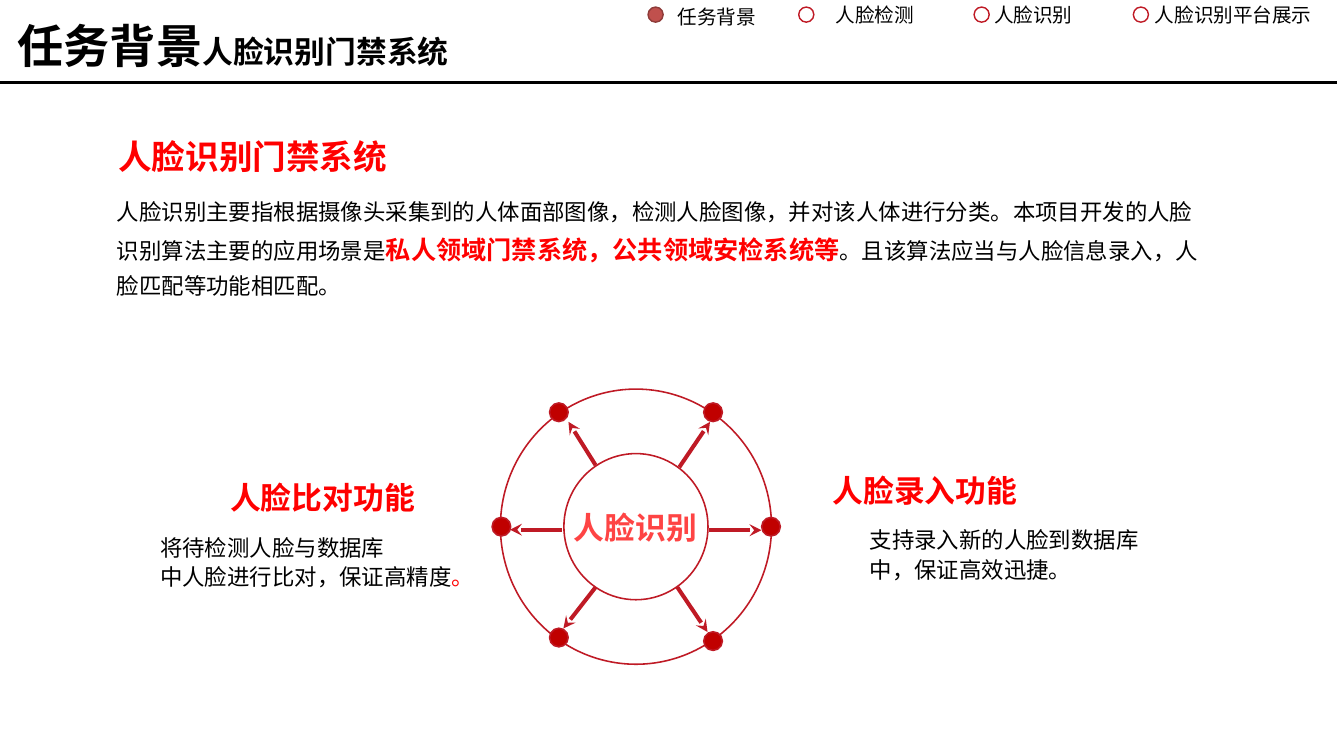
from pptx import Presentation
from pptx.dml.color import RGBColor
from pptx.enum.shapes import MSO_CONNECTOR, MSO_SHAPE
from pptx.oxml.ns import qn
from pptx.util import Inches, Pt
from lxml.etree import SubElement

SLIDE_W, SLIDE_H = 26.67, 15
CJK, LATIN = "Noto Sans CJK SC", "Calibri"
BLACK = RGBColor(0, 0, 0)
WHITE = RGBColor(255, 255, 255)
RED = RGBColor(255, 0, 0)
CRIMSON = RGBColor(0xBF, 0x1A, 0x25)
NODE_RED = RGBColor(0xC0, 0, 0)
ACTIVE_FILL = RGBColor(0xC0, 0x50, 0x4D)
ACTIVE_LINE = RGBColor(0x8E, 0x3B, 0x39)
HUB_TEXT = RGBColor(0xFE, 0x44, 0x44)

# Navigation: label, marker left, label left, label top, label width
NAVIGATION = [
    ("任务背景", 12.86, 13.35, 0.05, 1.89),
    ("人脸检测", 15.85, 16.48, 0, 3.71),
    ("人脸识别", 19.33, 19.63, 0, 2.24),
    ("人脸识别平台展示", 22.49, 22.82, 0, 3.85),
]
ACTIVE = "任务背景"

# Text runs: text, size, colour, bold, font
TITLE = [("任务背景", 66, BLACK, True, CJK),
         ("人脸识别门禁系统", 44, BLACK, True, LATIN)]
INTRO_HEADING = [("人脸识别门禁系统", 48, RED, True, CJK)]
INTRO = [
    ("人脸识别主要指根据摄像头采集到的人体面部图像，检测人脸图像，并对该人体进行分类。"
     "本项目开发的人脸识别算法主要的应用场景是", 32, BLACK, False, CJK),
    ("私人领域门禁系统，公共领域安检系统等", 36, RED, True, CJK),
    ("。且该算法应当与人脸信息录入，人脸匹配等功能相匹配。", 32, BLACK, False, CJK),
]
HUB_LABEL = [("人脸识别", 44, HUB_TEXT, True, LATIN)]

# Functions: heading, heading box, detail lines, detail box
FUNCTIONS = [
    ("人脸比对功能", (4.47, 9.44, 4.33, 0.84),
     [[("将待检测人脸与数据库", 32, BLACK, False, CJK)],
      [("中人脸进行比对，保证高精度", 32, BLACK, False, CJK),
       ("。", 32, RED, False, CJK)]], (3.08, 10.78, 6.35, 0.98)),
    ("人脸录入功能", (16.42, 9.31, 4.61, 1),
     [[("支持录入新的人脸到数据库", 32, BLACK, False, CJK)],
      [("中，保证高效迅捷。", 32, BLACK, False, CJK)]], (17.16, 10.64, 5.78, 1.02)),
]

# Wheel: centre, then each spoke as node offset, arrow start and arrow end
CENTRE_X, CENTRE_Y = 12.62, 10.45
RING, HUB, NODE = (5.38, 5.46), (2.86, 2.9), (0.37, 0.37)
SPOKES = [
    ((1.53, -2.27), (0.86, -1.18), (1.47, -2.08)),
    ((2.68, 0), (1.45, 0.07), (2.49, 0.07)),
    ((1.53, 2.27), (0.82, 1.2), (1.42, 2.09)),
    ((-1.53, 2.2), (-0.8, 1.2), (-1.44, 2.02)),
    ((-2.67, 0), (-1.47, 0.06), (-2.5, 0.06)),
    ((-1.53, -2.27), (-0.8, -1.22), (-1.34, -2.08)),
]

prs = Presentation()
prs.slide_width, prs.slide_height = Inches(SLIDE_W), Inches(SLIDE_H)
slide = prs.slides.add_slide(prs.slide_layouts[6])


def add_text(box, paragraphs, wrap=True, spacing=None, gap=0):
    frame = slide.shapes.add_textbox(*map(Inches, box)).text_frame
    frame.word_wrap = wrap
    for i, runs in enumerate(paragraphs):
        paragraph = frame.add_paragraph() if i else frame.paragraphs[0]
        paragraph.line_spacing = spacing
        if i:
            paragraph.space_before = Pt(gap)
        for text, size, colour, bold, font in runs:
            run = paragraph.add_run()
            run.text = text
            run.font.size, run.font.bold, run.font.name = Pt(size), bold, font
            run.font.color.rgb = colour


def add_circle(centre_x, centre_y, size, fill, line, weight):
    width, height = size
    circle = slide.shapes.add_shape(
        MSO_SHAPE.OVAL, Inches(centre_x - width / 2), Inches(centre_y - height / 2),
        Inches(width), Inches(height))
    circle.shadow.inherit = False
    if fill is None:
        circle.fill.background()
    else:
        circle.fill.solid()
        circle.fill.fore_color.rgb = fill
    circle.line.color.rgb, circle.line.width = line, Pt(weight)


def add_line(start, end, colour, weight, arrow=False):
    line = slide.shapes.add_connector(
        MSO_CONNECTOR.STRAIGHT, *map(Inches, (*start, *end)))
    line.line.color.rgb, line.line.width = colour, Pt(weight)
    if arrow:
        SubElement(line.line._get_or_add_ln(), qn("a:tailEnd"), type="stealth")
    SubElement(line._element.spPr, qn("a:effectLst"))


def from_centre(offset):
    return CENTRE_X + offset[0], CENTRE_Y + offset[1]


# Header
for label, marker_left, left, top, width in NAVIGATION:
    fill, line = (ACTIVE_FILL, ACTIVE_LINE) if label == ACTIVE else (None, CRIMSON)
    add_circle(marker_left + 0.15, 0.29, (0.3, 0.3), fill, line, 2)
    add_text((left, top, width, 0.57), [[(label, 28, BLACK, False, CJK)]])
add_line((0, 1.64), (26.54, 1.64), BLACK, 4.5)
add_text((0.25, 0.3, 10.58, 1.21), [TITLE])

# Introduction
add_text((2.25, 2.65, 5.53, 0.91), [INTRO_HEADING], wrap=False)
add_text((2.22, 3.72, 21.86, 2.29), [INTRO], spacing=1.3)

# Wheel
add_circle(CENTRE_X, CENTRE_Y, RING, WHITE, CRIMSON, 2.25)
for node, start, end in SPOKES:
    add_circle(*from_centre(node), NODE, NODE_RED, CRIMSON, 2.25)
    add_line(from_centre(start), from_centre(end), CRIMSON, 5.75, arrow=True)
add_circle(CENTRE_X, CENTRE_Y, HUB, WHITE, CRIMSON, 2.25)
add_text((11.29, 10.04, 2.66, 0.84), [HUB_LABEL], wrap=False)

# Functions on either side
for heading, heading_box, details, detail_box in FUNCTIONS:
    add_text(heading_box, [[(heading, 44, RED, True, CJK)]])
    add_text(detail_box, details, spacing=Pt(21), gap=21)

prs.save("out.pptx")
